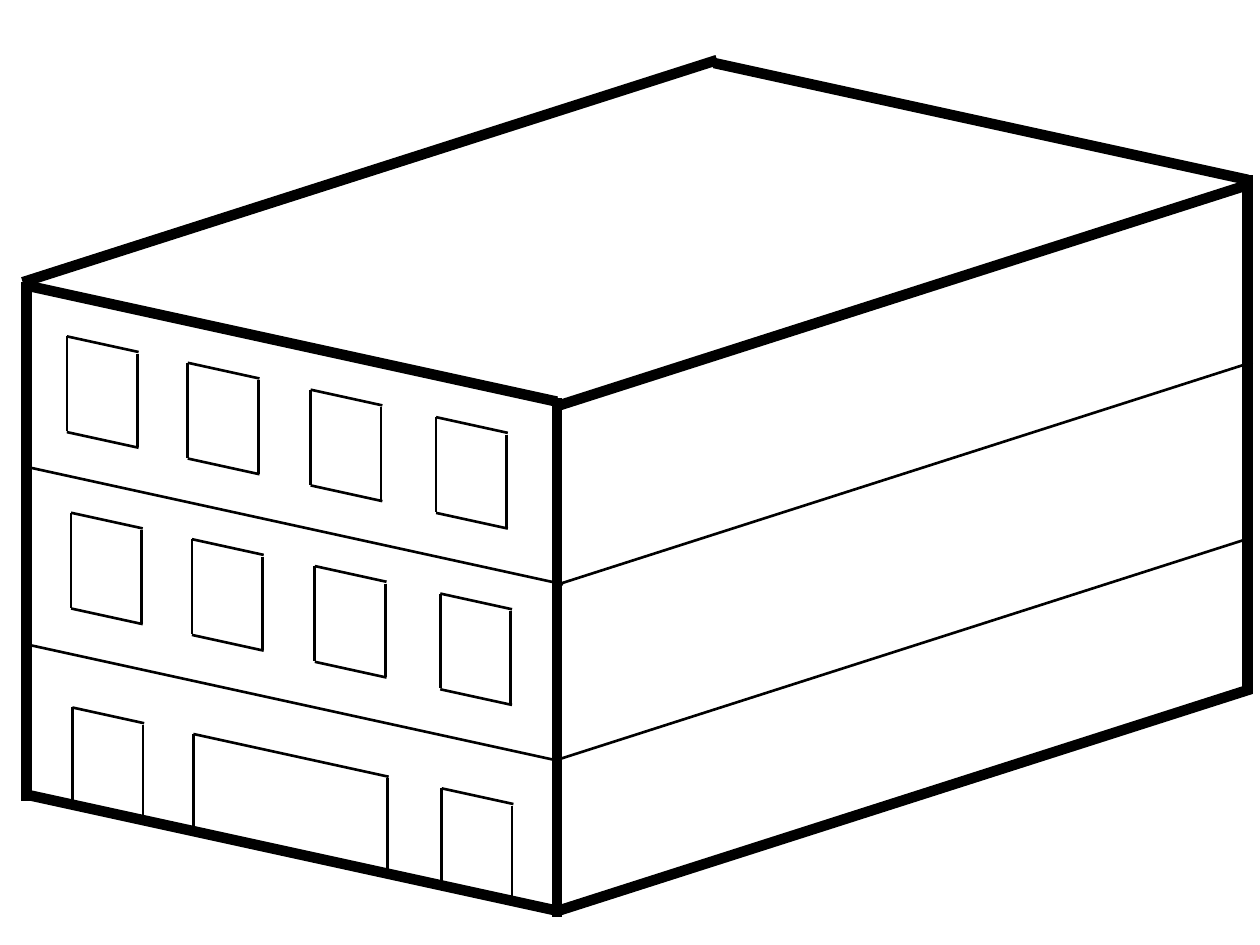
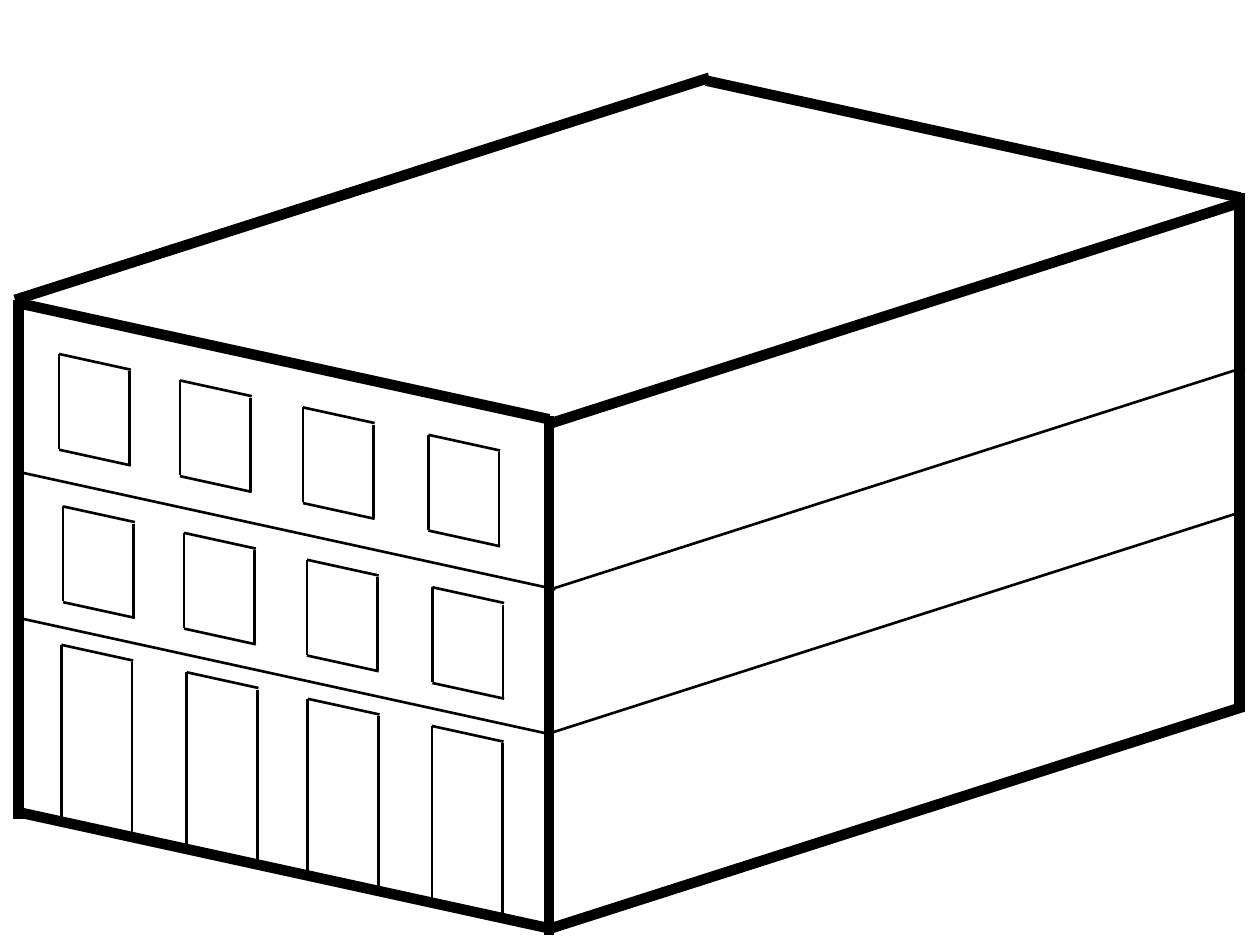
"""Draws two three-floor houses in slanted view, one per slide."""
import pptx
import pptx.dml.color
import pptx.enum.shapes
import pptx.oxml
import pptx.oxml.ns
import pptx.util

Pt = pptx.util.Pt
INK = {"line": "000000", "back": "FFFFFF"}
THICK, THIN = 6, 1.5
FRONT, SIDE, POST = (305.2, 66.8), (396.8, -127), (0, 296.6)
SLOPE = FRONT[1] / FRONT[0]
WIDE, TALL = 41, 54.2
COLS = (0, 69.1, 139.3, 211)
DOORS = (0, 71.6, 140.8, 211.7)
FRAME = (
    (FRONT, ((13, 162.7), (13, 453.6), (408, 36))),
    (SIDE, ((13, 161.3), (317.5, 232.3), (318.2, 520.7))),
    (POST, ((15.1, 161.3), (318.2, 227.5), (712.8, 100.1))),
)


class House:
    """Holds the style and the current slide."""

    def __init__(self, deck, left, top):
        self.left, self.top = left, top
        self.slide = deck.slides.add_slide(deck.slide_layouts[6])
        fill = self.slide.background.fill
        fill.solid()
        fill.fore_color.rgb = pptx.dml.color.RGBColor.from_string(INK["back"])
        self.group = self.slide.shapes.add_group_shape()

    def line(self, x, y, run, rise, size=THIN):
        """Draws a line from a point by a run and a rise."""
        x, y = x + self.left, y + self.top
        kind = pptx.enum.shapes.MSO_CONNECTOR.STRAIGHT
        line = self.group.shapes.add_connector(
            kind, Pt(x), Pt(y), Pt(x + run), Pt(y + rise))
        line.line.width = Pt(size)
        line.line.color.rgb = pptx.dml.color.RGBColor.from_string(INK["line"])
        props = line._element.spPr
        props.append(pptx.oxml.parse_xml(
            "<a:effectLst %s/>" % pptx.oxml.ns.nsdecls("a")))

    def frame(self):
        """Draws the thick outer edges."""
        for step, starts in FRAME:
            for x, y in starts:
                self.line(x, y, *step, size=THICK)

    def floors(self, *levels):
        """Draws floor lines along the front and the side."""
        for x, y in zip((16.6, 13.7), levels):
            self.line(x, y, *FRONT)
        for x, y in zip((319, 316.8), levels):
            self.line(x, y + FRONT[1], *SIDE)

    def gap(self, x, y, wide=WIDE, tall=TALL, sills=(0,)):
        """Draws one window or door with its sill parts."""
        drop = wide * SLOPE
        self.line(x, y, wide, drop)
        self.line(x, y, 0, tall)
        self.line(x + wide - 0.7, y + drop + 1, 0, tall - 0.9)
        for sill in sills:
            self.line(x + sill, y + tall + 0.5 + sill * SLOPE, WIDE, WIDE * SLOPE)

    def row(self, x, y, cols=COLS, **form):
        """Draws equal windows or doors down the slope."""
        for col in cols:
            self.gap(x + col, y + col * SLOPE, **form)


deck = pptx.Presentation()
deck.slide_width, deck.slide_height = Pt(720), Pt(540)

shop = House(deck, 0, 0)
shop.frame()
shop.floors(267.1, 367.9)
shop.row(38.2, 192.2)
shop.row(40.6, 293)
shop.row(41.4, 404.3, cols=(COLS[0], COLS[3]))
shop.row(41.4, 404.3, cols=(COLS[1],), wide=111.6, sills=(0, 70.6))

hall = House(deck, -4.4, 10.1)
hall.frame()
hall.floors(259.9, 342.7)
hall.row(38.2, 192.2)
hall.row(40.5, 279.3)
hall.row(39.5, 358.4, cols=(DOORS[0], DOORS[3]), tall=99, sills=())
hall.row(39.5, 358.4, cols=DOORS[1:3], tall=99)

deck.save("out.pptx")
